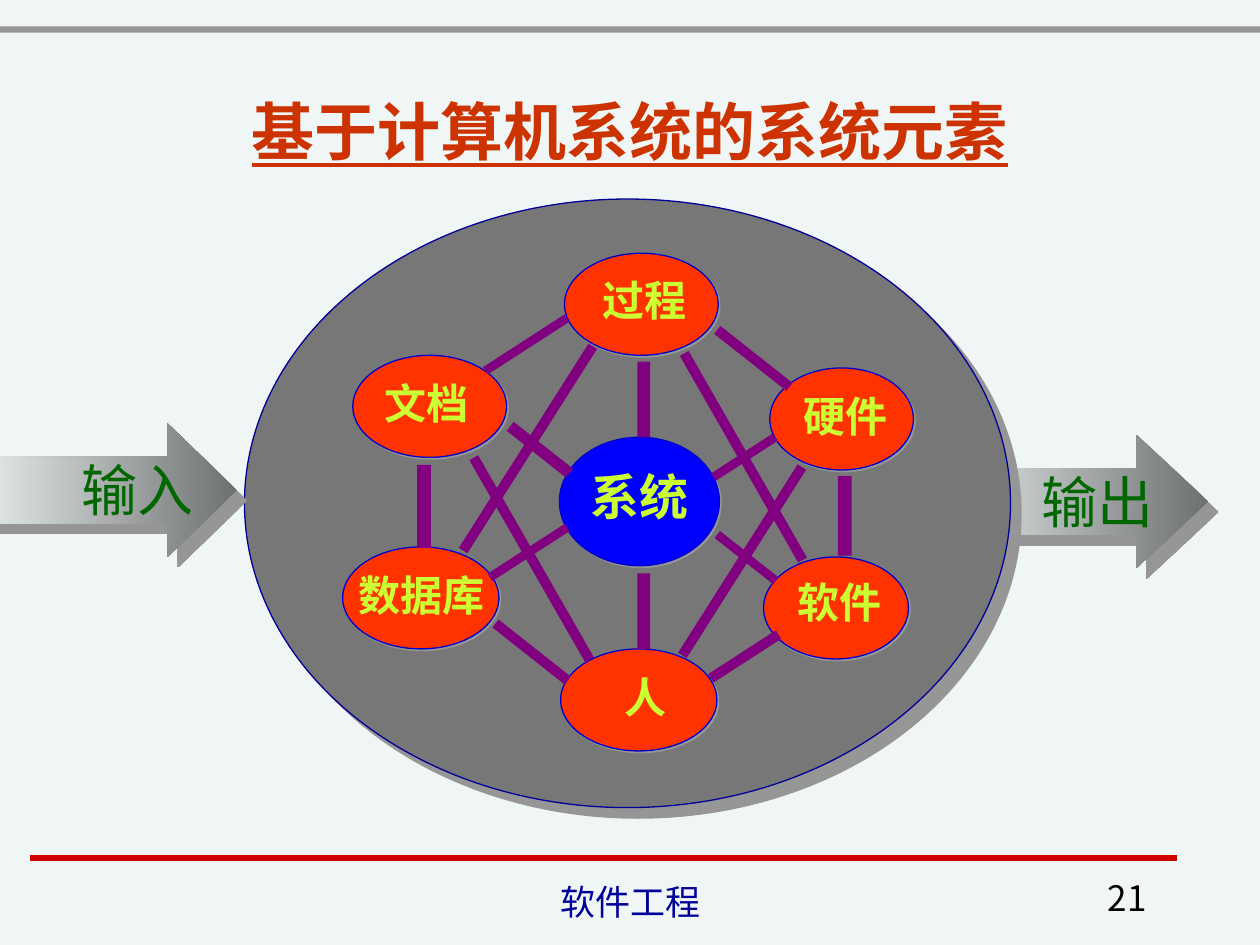
import pptx
import pptx.dml.color
import pptx.enum.shapes
import pptx.enum.text
import pptx.oxml
import pptx.oxml.ns
import pptx.util
import lxml.etree

SCALE = 9144  # EMU per px, 100 px to the inch
COLORS = {
    "page": "F0F6F6", "shade": "969696", "rule": "CC0000", "title": "CC3300",
    "disc": "777777", "disc_edge": "000099", "core": "0000FF", "node": "FF3300",
    "node_edge": "0000CC", "node_text": "CCFF33", "link": "800080",
    "arrow_dark": "6E7171", "flow_text": "006600", "footer": "000099",
    "number": "000000",
}
SERIF = "Times New Roman"
SHAPES = pptx.enum.shapes.MSO_SHAPE
ALIGN = pptx.enum.text.PP_ALIGN
ANCHOR = pptx.enum.text.MSO_ANCHOR

# Elements: text, ellipse (left, top, width), label (dx, dy, width)
NODES = [
    ("过程", (254, 43, 122), (20, 12, 88)),
    ("硬件", (417, 134, 114), (17, 13, 88)),
    ("文档", (86, 124, 122), (15, 13, 88)),
    ("数据库", (78, 276, 124), (3, 13, 122)),
    ("软件", (412, 284, 115), (17, 11, 88)),
    ("人", (251, 357, 124), (41, 13, 55)),
]
# Links by rotation: (left, top, width, length) before turning
LINKS = {
    0: [(312, 129, 10, 60), (312, 297, 10, 60), (471, 220, 11, 63), (137, 211, 11, 66)],
    57.1: [(220, 77, 7, 77), (393, 331, 8, 64), (393, 176, 7, 58), (222, 244, 7, 73)],
    308.3: [(395, 255, 7, 59), (224, 323, 8, 73), (400, 90, 8, 73), (230, 169, 9, 60)],
    32.4: [(221, 102, 8, 192), (391, 199, 8, 177)],
    330.2: [(392, 110, 8, 189), (224, 193, 8, 185)],
}


def px(value):
    return pptx.util.Emu(value * SCALE)


def rgb(name):
    return pptx.dml.color.RGBColor.from_string(COLORS[name])


def inside(box, left, top, width, height):
    return box[0] + left, box[1] + top, width, height


def add_shadow(shape, points):
    effects = shape._element.spPr.find(pptx.oxml.ns.qn("a:effectLst"))
    shadow = lxml.etree.SubElement(
        effects, pptx.oxml.ns.qn("a:outerShdw"), dist=str(int(points * 12700)),
        dir="2700000", algn="ctr", rotWithShape="0")
    lxml.etree.SubElement(shadow, pptx.oxml.ns.qn("a:srgbClr"), val=COLORS["shade"])


def add_shape(page, kind, box, fill=None, edge=None, shadow=0):
    shape = page.shapes.add_shape(kind, *map(px, box))
    shape.shadow.inherit = False
    if fill:
        shape.fill.solid()
        shape.fill.fore_color.rgb = rgb(fill)
    if edge:
        shape.line.color.rgb = rgb(edge)
        shape.line.width = pptx.util.Pt(0.75)
    else:
        shape.line.fill.background()
    if shadow:
        add_shadow(shape, shadow)
    return shape


def add_text(page, box, text, size, color, font=SERIF, bold=False, underline=False,
             align=ALIGN.LEFT, anchor=ANCHOR.TOP, wrap=True):
    frame = page.shapes.add_textbox(*map(px, box)).text_frame
    frame.word_wrap = wrap
    if not wrap:
        frame.auto_size = pptx.enum.text.MSO_AUTO_SIZE.SHAPE_TO_FIT_TEXT
    frame.vertical_anchor = anchor
    para = frame.paragraphs[0]
    para.alignment = align
    span = para.add_run()
    span.text = text
    span.font.name = font
    span.font.size = pptx.util.Pt(size)
    span.font.bold = bold
    span.font.underline = underline
    span.font.color.rgb = rgb(color)


def add_header(page, box):
    # Top band and title
    add_shape(page, SHAPES.RECTANGLE, inside(box, 0, 21, box[2], 5), "shade")
    add_text(page, inside(box, 70, 62, 860, 83), "基于计算机系统的系统元素", 36, "title",
             bold=True, underline=True, align=ALIGN.CENTER, anchor=ANCHOR.MIDDLE)


def add_flow(page, box, text, head):
    # Block arrow with its label
    arrow = add_shape(page, SHAPES.RIGHT_ARROW, box, shadow=8.5)
    arrow.adjustments[1] = head
    arrow.fill.gradient()
    arrow.fill.gradient_angle = 180
    for stop, color in zip(arrow.fill.gradient_stops, ("arrow_dark", "page")):
        stop.color.rgb = rgb(color)
    add_text(page, inside(box, 88, 21, 111, 64), text, 32, "flow_text", wrap=False)


def add_system(page, box):
    # Disc and ellipses
    add_shape(page, SHAPES.OVAL, box, "disc", "disc_edge", 8.5)
    add_shape(page, SHAPES.OVAL, inside(box, 250, 189, 127, 102), "core", "node_edge", 1.4)
    for _, (left, top, width), _ in NODES:
        add_shape(page, SHAPES.OVAL, inside(box, left, top, width, 81),
                  "node", "node_edge", 1.4)

    # Labels
    add_text(page, inside(box, 265, 207, 100, 57), "系统", 28, "node_text",
             bold=True, wrap=False)
    for text, (left, top, _), (dx, dy, width) in NODES:
        add_text(page, inside(box, left + dx, top + dy, width, 50), text, 24,
                 "node_text", bold=True, wrap=False)

    # Links
    for angle, bars in LINKS.items():
        for bar in bars:
            link = add_shape(page, SHAPES.RECTANGLE, inside(box, *bar), "link")
            link.rotation = angle


def add_footer(page, box):
    # Red rule
    left, top, width, _ = box
    rule = page.shapes.add_connector(
        pptx.enum.shapes.MSO_CONNECTOR.STRAIGHT,
        px(left), px(top), px(left + width), px(top))
    rule.line.color.rgb = rgb("rule")
    rule.line.width = pptx.util.Pt(3)
    lxml.etree.SubElement(rule._element.spPr, pptx.oxml.ns.qn("a:effectLst"))

    # Course name and page number
    add_text(page, inside(box, 318, 17, 317, 39), "软件工程", 20, "footer",
             font="Arial Narrow", align=ALIGN.CENTER, anchor=ANCHOR.BOTTOM)
    add_text(page, inside(box, 688, 15, 208, 38), "21", 20, "number",
             font="Noto Sans CJK SC", align=ALIGN.RIGHT, anchor=ANCHOR.BOTTOM)


def main():
    deck = pptx.Presentation()
    deck.slide_width, deck.slide_height = px(1000), px(750)
    page = deck.slides.add_slide(deck.slide_layouts[6])
    page.background.fill.solid()
    page.background.fill.fore_color.rgb = rgb("page")

    add_header(page, (0, 0, 1000, 145))
    add_flow(page, (729, 345, 230, 106), "输出", 0.54)
    add_system(page, (194, 158, 608, 483))
    add_flow(page, (-33, 336, 221, 106), "输入", 0.52)
    add_footer(page, (24, 681, 910, 56))
    deck.save("out.pptx")


if __name__ == "__main__":
    main()
